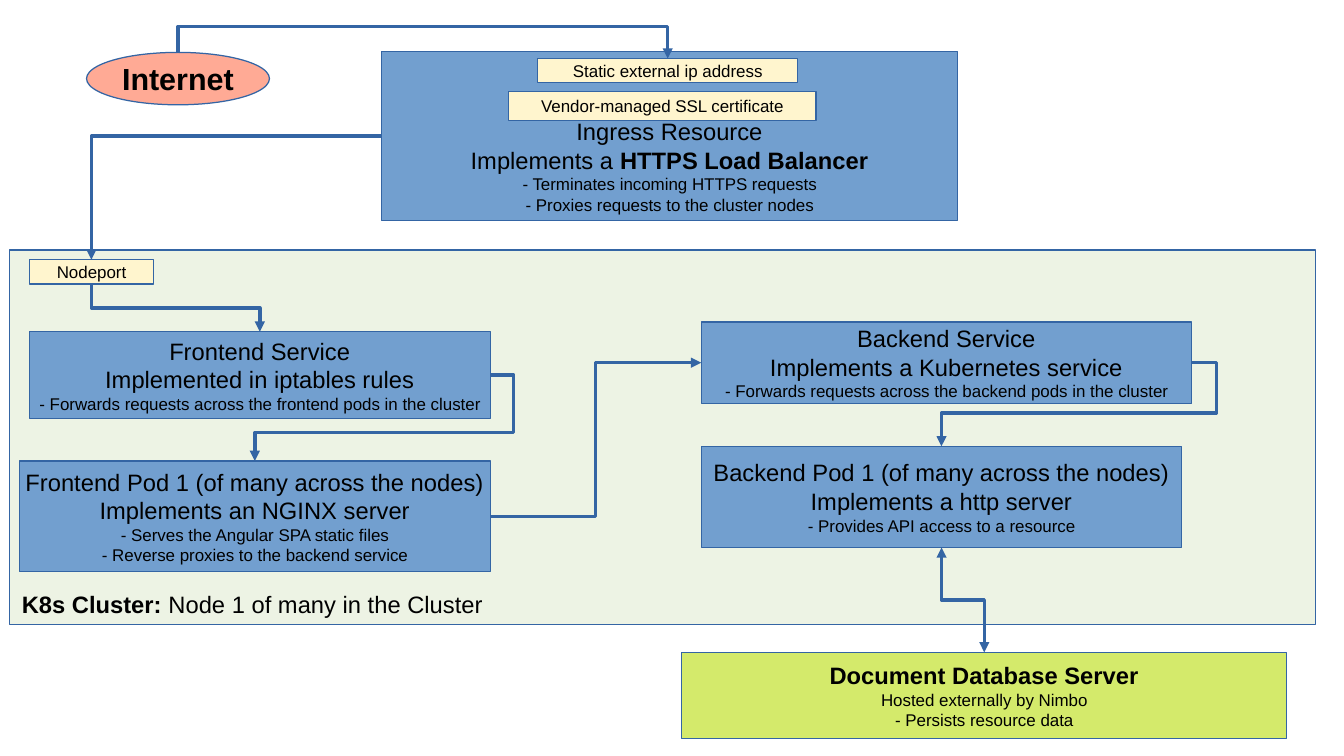
from lxml import etree
from pptx import Presentation
from pptx.dml import color
from pptx.enum import shapes, text
from pptx.oxml import ns
from pptx.util import Inches, Pt

BLUE, CREAM, LINE = "729FCF", "FFF5CE", "3465A4"
RECTANGLE = shapes.MSO_SHAPE.RECTANGLE
TOP, LEFT, BOTTOM, RIGHT = range(4)


def paint(target, hex_color):
    """Give a fill a solid colour."""
    target.solid()
    target.fore_color.rgb = color.RGBColor.from_string(hex_color)


def add_child(parent, tag, **attributes):
    """Append a drawing element to an XML parent."""
    return etree.SubElement(parent, ns.qn(tag), attributes)


def style_line(line):
    """Apply the common hairline outline."""
    paint(line.fill, LINE)
    line.width = Pt(0)


def write_line(paragraph, content, size, align):
    """Fill a paragraph, with bold words between asterisks."""
    paragraph.alignment = align
    paragraph.font.name = "Arial"
    paragraph.font.size = Pt(size)
    paint(paragraph.font.fill, "000000")
    for index, part in enumerate(content.split("*")):
        if part:
            run = paragraph.add_run()
            run.text = part
            if index % 2:
                run.font.bold = True


def add_box(slide, place, fill, lines, anchor=text.MSO_ANCHOR.MIDDLE,
            align=text.PP_ALIGN.CENTER, kind=RECTANGLE):
    """Draw a filled shape holding lines of (text, size)."""
    shape = slide.shapes.add_shape(kind, *map(Inches, place))
    shape.shadow.inherit = False
    paint(shape.fill, fill)
    style_line(shape.line)
    frame = shape.text_frame
    frame.word_wrap = False
    frame.vertical_anchor = anchor
    for index, (content, size) in enumerate(lines):
        paragraph = frame.add_paragraph() if index else frame.paragraphs[0]
        write_line(paragraph, content, size, align)
    return shape


def add_label(slide, place, content):
    """Draw a small cream label."""
    return add_box(slide, place, CREAM, [(content, 10)])


def make_translucent(shape, percent):
    """Set the opacity of a solid fill."""
    fill = shape._element.spPr.find(ns.qn("a:solidFill"))
    add_child(fill[0], "a:alpha", val=str(percent * 1000))


def turn_down(connector):
    """Make an elbow leave its start downwards instead of sideways."""
    width, height = connector.width, connector.height
    connector.left += (width - height) // 2
    connector.top += (height - width) // 2
    connector.width, connector.height = height, width
    frame = connector._element.spPr.find(ns.qn("a:xfrm"))
    frame.set("rot", "16200000")
    frame.set("flipH", "1")


def add_elbow(slide, start, start_site, end, end_site, bends, adjust=(), two_way=False):
    """Join two shapes with a bent arrow."""
    connector = slide.shapes.add_connector(shapes.MSO_CONNECTOR.ELBOW, 0, 0, 0, 0)
    connector.begin_connect(start, start_site)
    connector.end_connect(end, end_site)
    if start_site in (TOP, BOTTOM):
        turn_down(connector)
    style_line(connector.line)
    properties = connector._element.spPr
    geometry = properties.find(ns.qn("a:prstGeom"))
    geometry.set("prst", f"bentConnector{bends}")
    values = geometry.find(ns.qn("a:avLst"))
    for number, share in enumerate(adjust, 1):
        add_child(values, "a:gd", name=f"adj{number}", fmla=f"val {round(share * 100000)}")
    line = properties.find(ns.qn("a:ln"))
    if two_way:
        add_child(line, "a:headEnd", type="triangle")
    add_child(line, "a:tailEnd", type="triangle")
    add_child(properties, "a:effectLst")


def main():
    """Build the cluster diagram."""
    presentation = Presentation()
    presentation.slide_width, presentation.slide_height = Inches(11.02), Inches(6.2)
    slide = presentation.slides.add_slide(presentation.slide_layouts[6])

    cluster = add_box(slide, (0.08, 2.05, 10.71, 3.07), "DDE8CB",
                      [("*K8s Cluster: *Node 1 of many in the Cluster", 14)],
                      text.MSO_ANCHOR.BOTTOM, text.PP_ALIGN.LEFT)
    make_translucent(cluster, 50)
    ingress = add_box(slide, (3.13, 0.42, 4.72, 1.39), BLUE, [
        ("Ingress Resource", 14),
        ("Implements a *HTTPS Load Balancer*", 14),
        ("- Terminates incoming HTTPS requests", 10),
        ("- Proxies requests to the cluster nodes", 10)], text.MSO_ANCHOR.BOTTOM)
    frontend_service = add_box(slide, (0.24, 2.72, 3.78, 0.71), BLUE, [
        ("Frontend Service", 14),
        ("Implemented in iptables rules", 14),
        ("- Forwards requests across the frontend pods in the cluster", 10)])
    frontend_pod = add_box(slide, (0.16, 3.78, 3.86, 0.91), BLUE, [
        ("Frontend Pod 1 (of many across the nodes)", 14),
        ("Implements an NGINX server", 14),
        ("- Serves the Angular SPA static files", 10),
        ("- Reverse proxies to the backend service", 10)])
    backend_service = add_box(slide, (5.75, 2.64, 4.02, 0.67), BLUE, [
        ("Backend Service", 14),
        ("Implements a Kubernetes service", 14),
        ("- Forwards requests across the backend pods in the cluster", 10)])
    backend_pod = add_box(slide, (5.75, 3.66, 3.94, 0.83), BLUE, [
        ("Backend Pod 1 (of many across the nodes)", 14),
        ("Implements a http server", 14),
        ("- Provides API access to a resource", 10)])
    database = add_box(slide, (5.59, 5.35, 4.96, 0.71), "D4EA6B", [
        ("*Document Database Server*", 14),
        ("Hosted externally by Nimbo", 10),
        ("- Persists resource data", 10)])
    address = add_label(slide, (4.41, 0.48, 2.13, 0.2), "Static external ip address")
    add_label(slide, (4.17, 0.75, 2.52, 0.24), "Vendor-managed SSL certificate")
    nodeport = add_label(slide, (0.24, 2.13, 1.02, 0.2), "Nodeport")
    internet = add_box(slide, (0.71, 0.43, 1.5, 0.43), "FFAA95", [("*Internet*", 18)],
                       kind=shapes.MSO_SHAPE.OVAL)

    add_elbow(slide, internet, TOP, address, TOP, 3, [-4.25])
    add_elbow(slide, ingress, LEFT, nodeport, TOP, 2)
    add_elbow(slide, nodeport, BOTTOM, frontend_service, TOP, 3, [0.5])
    add_elbow(slide, frontend_service, RIGHT, frontend_pod, TOP, 4, [-0.1, 0.67])
    add_elbow(slide, frontend_pod, RIGHT, backend_service, LEFT, 3, [0.5])
    add_elbow(slide, backend_service, RIGHT, backend_pod, TOP, 4, [-0.1, 0.6])
    add_elbow(slide, backend_pod, BOTTOM, database, TOP, 3, [0.5], two_way=True)

    presentation.save("out.pptx")


if __name__ == "__main__":
    main()
